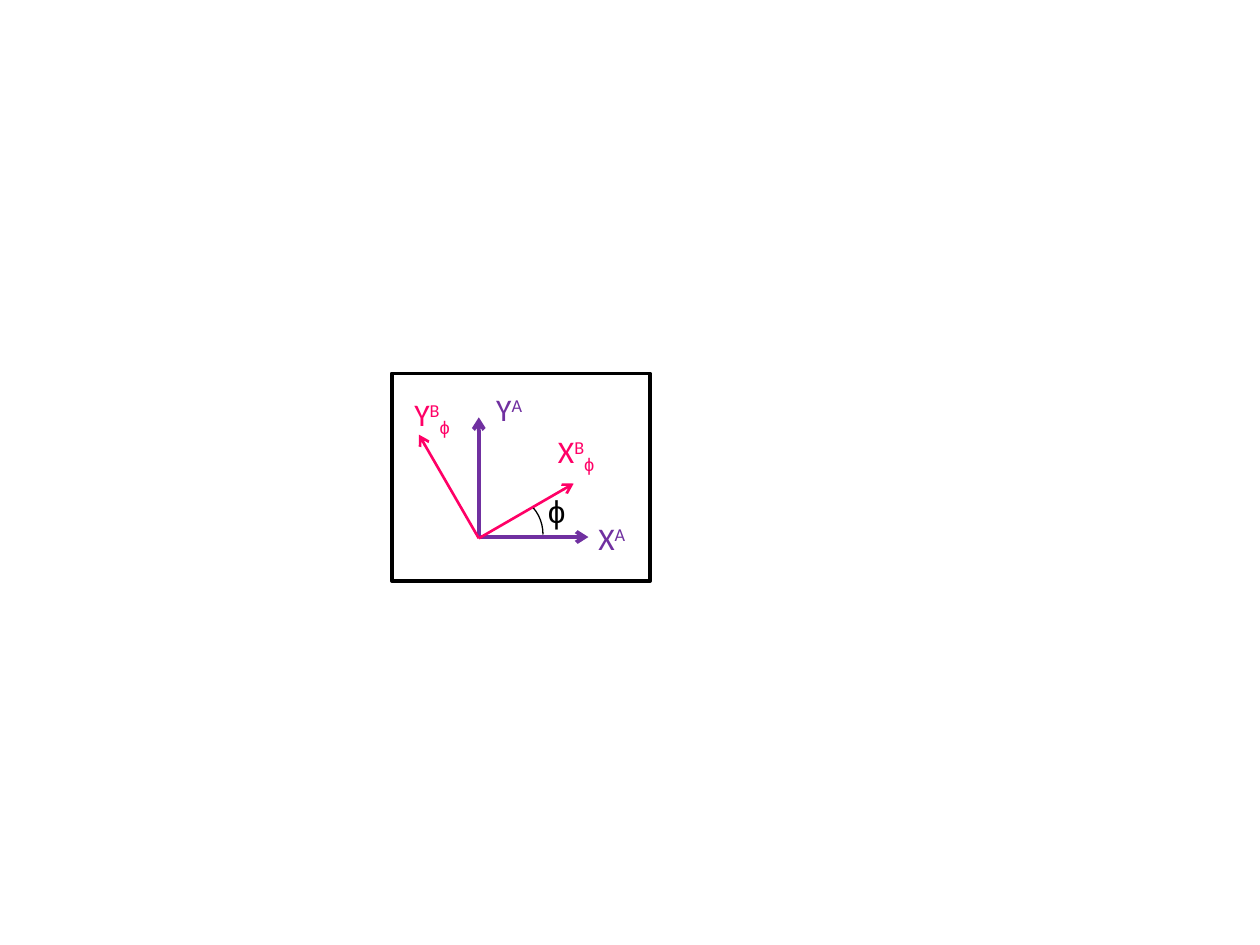
from math import cos, sin, radians
from pptx import Presentation, util as u
from pptx.dml.color import RGBColor
from pptx.enum import shapes as sh, text as tx
from pptx.oxml.ns import qn
from lxml import etree

COL = {"ink": "000000", "paper": "FFFFFF", "fixed": "7030A0", "turned": "FF0066"}
COLS = 41  # grid columns across the frame
SUP, SUB = 30000, -25000


def rgb(key):
    return RGBColor.from_string(COL[key])


def arrow(group, start, end, key, width):
    line = group.shapes.add_connector(sh.MSO_CONNECTOR.STRAIGHT, *start, *end)
    line.line.color.rgb = rgb(key)
    line.line.width = u.Pt(width)
    etree.SubElement(line.line._get_or_add_ln(), qn("a:tailEnd"), type="arrow")
    etree.SubElement(line._element.spPr, qn("a:effectLst"))


def label(group, box, key, runs):
    area = group.shapes.add_textbox(*box)
    frame = area.text_frame
    frame.word_wrap = False
    frame.auto_size = tx.MSO_AUTO_SIZE.SHAPE_TO_FIT_TEXT
    para = frame.paragraphs[0]
    para.font.size = u.Pt(18)
    para.font.color.rgb = rgb(key)
    for word, shift in runs:
        run = para.add_run()
        run.text = word
        run.font.name = "Arial" if word == "ϕ" else "Calibri"
        if shift:
            run._r.get_or_add_rPr().set("baseline", str(shift))


def axes(slide, left, top, width, height):
    """Two coordinate frames, the second turned by an angle."""
    unit = width / COLS
    group = slide.shapes.add_group_shape()

    def spot(col, row):
        return round(left + col * unit), round(top + row * unit)

    def cell(col, row, wide, high=8):
        return *spot(col, row), round(wide * unit), round(high * unit)

    # Frame
    frame = group.shapes.add_shape(sh.MSO_SHAPE.RECTANGLE, left, top, width, height)
    frame.shadow.inherit = False
    frame.fill.solid()
    frame.fill.fore_color.rgb = rgb("paper")
    frame.line.color.rgb = rgb("ink")
    frame.line.width = u.Pt(2)

    # Axes: the same pair of lengths, unturned and turned by 30 degrees
    for key, turn, row, weight in (("fixed", 0, 26, 2.25), ("turned", 30, 26.2, 1.5)):
        for angle, size in ((turn + 90, 19), (turn, 17.4)):
            tip = (13.8 + size * cos(radians(angle)),
                   row - size * sin(radians(angle)))
            arrow(group, spot(13.8, row), spot(*tip), key, weight)

    # Axis labels
    for name, mark, key, box in (
        ("X", "A", "fixed", (30.8, 22.2, 8.6)),
        ("Y", "A", "fixed", (14.6, 1.7, 8.6)),
        ("X", "B", "turned", (24.4, 8.4, 10.6)),
        ("Y", "B", "turned", (1.6, 2.5, 10.6)),
    ):
        runs = [(name, 0), (mark, SUP)]
        if key == "turned":
            runs.append(("ϕ", SUB))
        label(group, cell(*box), key, runs)

    # Angle
    arc = group.shapes.add_shape(sh.MSO_SHAPE.ARC, *cell(13.4, 19.6, 10.6, 12))
    arc.adjustments[0] = 187.24
    arc.adjustments[1] = 0
    arc.shadow.inherit = False
    arc.fill.background()
    arc.line.color.rgb = rgb("ink")
    arc.line.width = u.Pt(0.75)
    label(group, cell(22.8, 17.8, 7), "ink", [("ϕ", 0)])


def main():
    deck = Presentation()
    deck.slide_width, deck.slide_height = u.Inches(10), u.Inches(7.5)
    wide, high = deck.slide_width, deck.slide_height
    slide = deck.slides.add_slide(deck.slide_layouts[6])
    axes(slide, round(wide * 0.311), round(high * 0.395),
         round(wide * 0.205), round(high * 0.22))
    deck.save("out.pptx")


if __name__ == "__main__":
    main()
